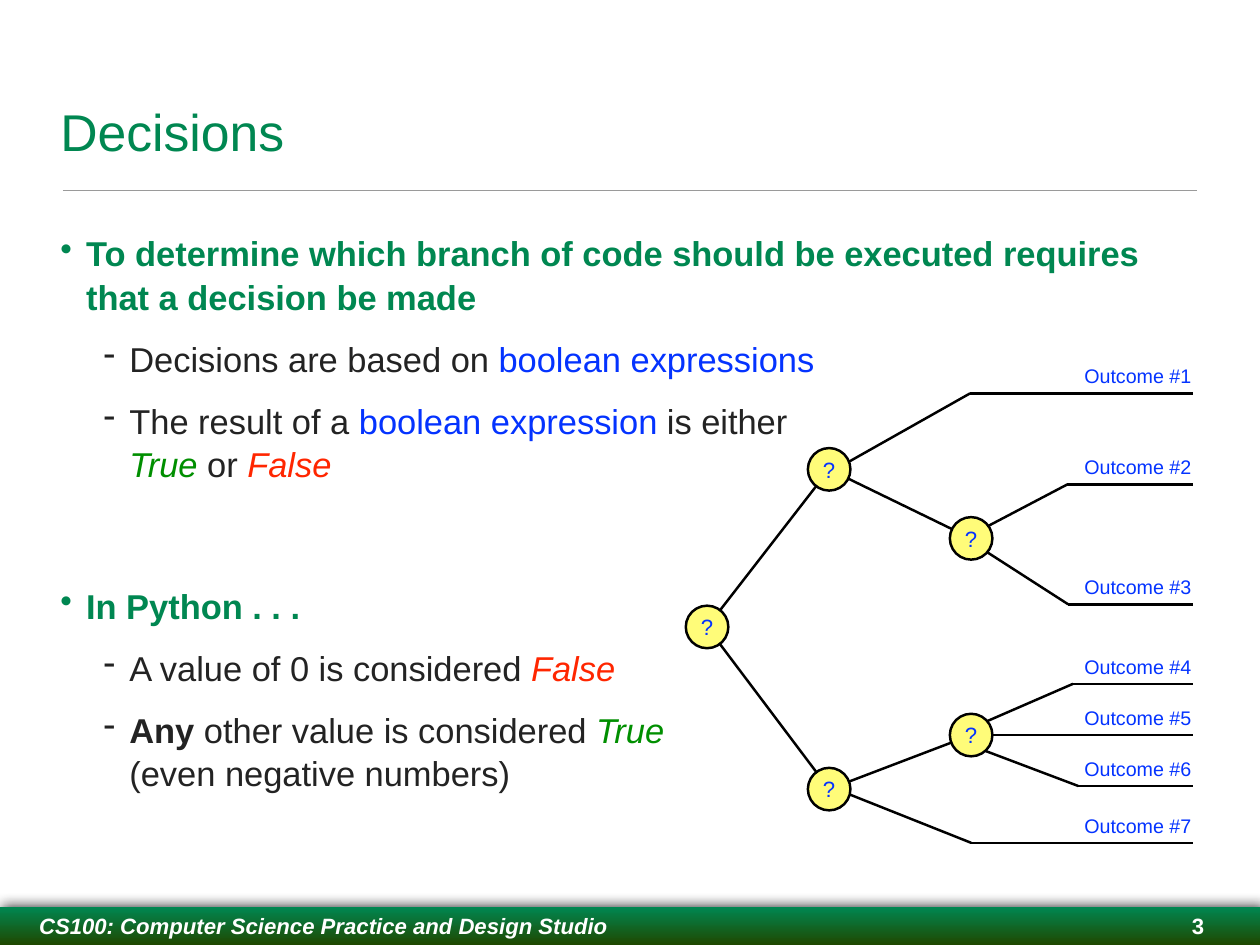
"""Build the slide on decisions: bullet points beside a tree of outcomes."""
from lxml.etree import SubElement
from pptx import Presentation
from pptx.dml.color import RGBColor
from pptx.enum.shapes import MSO_CONNECTOR, MSO_SHAPE
from pptx.enum.text import MSO_ANCHOR, PP_ALIGN
from pptx.oxml.ns import qn
from pptx.util import Cm, Pt

GREEN = RGBColor(0x00, 0x87, 0x51)
MOSS = RGBColor(0x1F, 0x48, 0x00)
WHITE = RGBColor(0xFF, 0xFF, 0xFF)
BLACK = RGBColor(0x00, 0x00, 0x00)
GREY = RGBColor(0x9A, 0x9A, 0x9A)
DARK = RGBColor(0x23, 0x23, 0x23)
BLUE = RGBColor(0x04, 0x33, 0xFF)
LEAF = RGBColor(0x00, 0x8F, 0x00)
RED = RGBColor(0xFF, 0x26, 0x00)
YELLOW = RGBColor(0xFF, 0xFC, 0x79)

HEAD = {"size": Pt(28), "bold": True, "rgb": GREEN}
PLAIN = {"size": Pt(28), "rgb": DARK}
STRONG = {**PLAIN, "bold": True}
TERM = {**PLAIN, "rgb": BLUE}
TRUE = {**PLAIN, "rgb": LEAF, "italic": True}
FALSE = {**PLAIN, "rgb": RED, "italic": True}
TITLE = {"size": Pt(42), "rgb": GREEN}
COURSE = {"size": Pt(18), "rgb": WHITE, "bold": True, "italic": True}
PAGE = {"size": Pt(18), "rgb": WHITE, "bold": True}
LABEL = {"size": Pt(16), "rgb": BLUE}
MARK = {"size": Pt(18), "rgb": BLUE}

LEVELS = [("•", 0.74), ("-", 1.98)]
HANG = 0.74
BREAK = ("\n", PLAIN)
POINTS = [
    (0, 0, [("To determine which branch of code should be executed requires "
             "that a decision be made", HEAD)]),
    (1, 15, [("Decisions are based on ", PLAIN), ("boolean expressions", TERM)]),
    (1, 15, [("The result of a ", PLAIN), ("boolean expression", TERM),
             (" is either ", PLAIN), BREAK,
             ("True", TRUE), (" or ", PLAIN), ("False", FALSE)]),
    (0, 80, [("In Python . . .", HEAD)]),
    (1, 15, [("A value of 0 is considered ", PLAIN), ("False", FALSE)]),
    (1, 15, [("Any", STRONG), (" other value is considered ", PLAIN),
             ("True", TRUE), BREAK, ("(even negative numbers)", PLAIN)]),
]

WIDE, HIGH = 36.12, 27.1
BAR = 26.01
DOT = 1.22
END = 34.19
NODES = {"root": (20.27, 17.98), "top": (23.77, 13.46), "low": (23.77, 22.63),
         "upper": (27.84, 15.44), "lower": (27.84, 21.08)}
EDGES = [("root", "top"), ("root", "low"), ("top", "upper"), ("low", "lower")]
LEAVES = [("top", 0.1, 27.81, 11.28), ("upper", -0.1, 30.6, 13.89),
          ("upper", 0.1, 30.62, 17.33), ("lower", -0.2, 30.76, 19.61),
          ("lower", 0, 28.4, 21.08), ("lower", 0.3, 30.91, 22.54),
          ("low", -0.08, 27.84, 24.17)]


def style(font, look):
    for key, value in {"name": "Arial", **look}.items():
        setattr(font.color if key == "rgb" else font, key, value)


def write(para, text, look):
    run = para.add_run()
    run.text = text
    style(run.font, look)


def frame(shape, anchor, wrap=True, left=0.16):
    body = shape.text_frame
    form = {"word_wrap": wrap, "vertical_anchor": anchor, "margin_left": Cm(left),
            "margin_right": Cm(0.16), "margin_top": Cm(0.16),
            "margin_bottom": Cm(0.16)}
    for key, value in form.items():
        setattr(body, key, value)
    return body


def box(slide, place, anchor, wrap=True):
    return frame(slide.shapes.add_textbox(*map(Cm, place)), anchor, wrap)


def line(slide, start, end, tone=BLACK, width=2):
    link = slide.shapes.add_connector(
        MSO_CONNECTOR.STRAIGHT, *map(Cm, (*start, *end)))
    link.line.color.rgb = tone
    link.line.width = Pt(width)
    SubElement(link._element.spPr, qn("a:effectLst"))


def banner(slide):
    bar = slide.shapes.add_shape(
        MSO_SHAPE.RECTANGLE, *map(Cm, (0, BAR, WIDE, HIGH - BAR)))
    bar.line.fill.background()
    bar.fill.gradient()
    bar.fill.gradient_angle = 270
    for stop, tone, spot in zip(bar.fill.gradient_stops, (GREEN, MOSS), (0, 1)):
        stop.color.rgb = tone
        stop.position = spot
    bar.shadow.inherit = False
    shade = SubElement(bar._element.spPr.find(qn("a:effectLst")),
                       qn("a:outerShdw"), blurRad=str(Pt(10)), dist=str(Pt(2)),
                       dir="18900000", rotWithShape="0")
    tone = SubElement(shade, qn("a:srgbClr"), val=str(BLACK))
    SubElement(tone, qn("a:alpha"), val="75000")
    para = frame(bar, MSO_ANCHOR.MIDDLE, left=1.12).paragraphs[0]
    para.alignment = PP_ALIGN.LEFT
    write(para, "CS100: Computer Science Practice and Design Studio", COURSE)
    para = box(slide, (33.66, BAR, 1.02, 1.07), MSO_ANCHOR.TOP, False).paragraphs[0]
    para.alignment = PP_ALIGN.RIGHT
    write(para, "3", PAGE)


def points(slide):
    body = box(slide, (1.57, 6.45, 32.94, 18.24), MSO_ANCHOR.TOP)
    for spot, (level, gap, runs) in enumerate(POINTS):
        para = body.add_paragraph() if spot else body.paragraphs[0]
        para.level = level
        para.line_spacing = 1.05
        para.space_before = Pt(gap)
        sign, indent = LEVELS[level]
        props = para._p.get_or_add_pPr()
        props.set("marL", str(Cm(indent)))
        props.set("indent", str(-Cm(HANG)))
        SubElement(props, qn("a:buChar"), char=sign)
        for text, look in runs:
            if text == "\n":
                para.add_line_break()
            else:
                write(para, text, look)


def tree(slide):
    for start, end in EDGES:
        line(slide, NODES[start], NODES[end])
    for count, (node, lift, bend, level) in enumerate(LEAVES, 1):
        left, top = NODES[node]
        line(slide, (left, top + lift), (bend, level))
        line(slide, (bend, level), (END, level))
        para = box(slide, (30.73, level - 1.04, 3.78, 1.04),
                   MSO_ANCHOR.BOTTOM).paragraphs[0]
        para.alignment = PP_ALIGN.CENTER
        write(para, f"Outcome #{count}", LABEL)
    for left, top in NODES.values():
        dot = slide.shapes.add_shape(
            MSO_SHAPE.OVAL, *map(Cm, (left - DOT / 2, top - DOT / 2, DOT, DOT)))
        dot.shadow.inherit = False
        dot.fill.solid()
        dot.fill.fore_color.rgb = YELLOW
        dot.line.color.rgb = BLACK
        dot.line.width = Pt(2)
        para = frame(dot, MSO_ANCHOR.MIDDLE).paragraphs[0]
        para.alignment = PP_ALIGN.CENTER
        write(para, "?", MARK)


def main():
    deck = Presentation()
    deck.slide_width, deck.slide_height = Cm(WIDE), Cm(HIGH)
    slide = deck.slides.add_slide(deck.slide_layouts[6])
    line(slide, (1.8, 5.46), (34.32, 5.46), GREY, 1)
    banner(slide)
    title = box(slide, (1.57, 0.91, 32.94, 3.89), MSO_ANCHOR.BOTTOM)
    write(title.paragraphs[0], "Decisions", TITLE)
    points(slide)
    tree(slide)
    deck.save("out.pptx")


if __name__ == "__main__":
    main()
